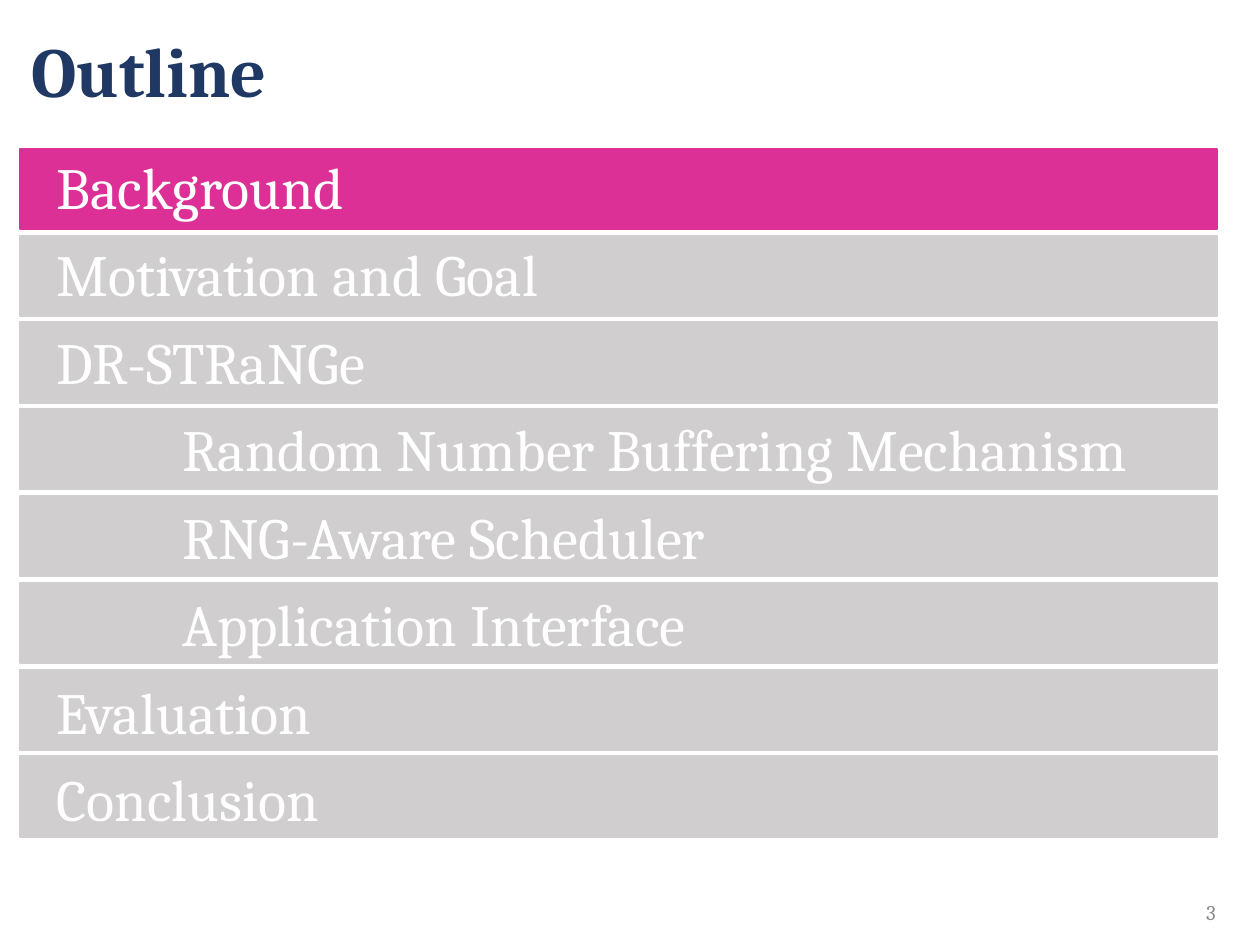
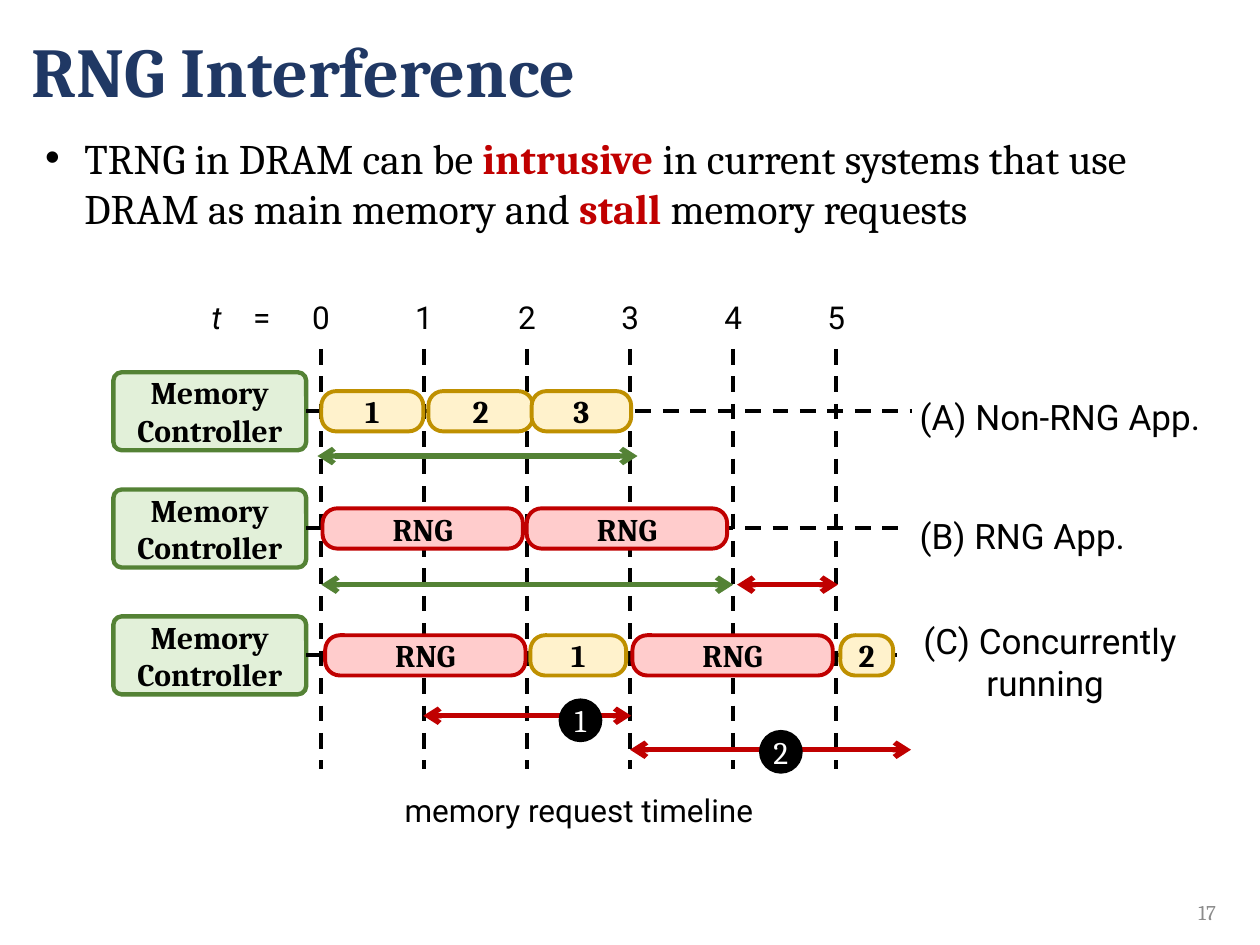
from dataclasses import dataclass

from lxml import etree
from pptx import Presentation
from pptx.dml.color import RGBColor
from pptx.enum.dml import MSO_LINE
from pptx.enum.shapes import MSO_CONNECTOR, MSO_SHAPE
from pptx.enum.text import MSO_ANCHOR, PP_ALIGN
from pptx.oxml.ns import qn
from pptx.util import Pt

LEFT, CENTER, RIGHT = PP_ALIGN.LEFT, PP_ALIGN.CENTER, PP_ALIGN.RIGHT
TOP, MIDDLE = MSO_ANCHOR.TOP, MSO_ANCHOR.MIDDLE
RECTANGLE, ROUNDED, OVAL = MSO_SHAPE.RECTANGLE, MSO_SHAPE.ROUNDED_RECTANGLE, MSO_SHAPE.OVAL
STRAIGHT, DASH = MSO_CONNECTOR.STRAIGHT, MSO_LINE.DASH
TITLE_ONLY = 5
LEFT_SIDE, RIGHT_SIDE = 1, 3


@dataclass(frozen=True)
class Theme:
    serif: str = "Cambria"
    sans: str = "Roboto"
    navy: str = "203864"
    gray: str = "8C8C8C"
    bar: str = "D0CECE"
    pink: str = "DC3096"
    black: str = "000000"
    white: str = "FFFFFF"
    red: str = "C00000"
    light_red: str = "FFCCCC"
    green: str = "548235"
    light_green: str = "E2F0D9"
    gold: str = "BF9000"
    light_gold: str = "FFF2CC"
    title_size: float = 40
    outline_size: float = 33.3
    body_size: float = 24
    caption_size: float = 20
    label_size: float = 18
    number_size: float = 12


@dataclass(frozen=True)
class Box:
    left: float
    top: float
    width: float
    height: float

    def inner(self, left, top, width, height):
        return Box(self.left + left, self.top + top, width, height)

    def lengths(self):
        return Pt(self.left), Pt(self.top), Pt(self.width), Pt(self.height)


THEME = Theme()
SLIDE = Box(0, 0, 720, 540)
TITLE = Box(10.8, 0, 700.6, 85.7)
NUMBER = Box(661, 513.4, 33.8, 15.8)
OUTLINE = Box(11.5, 85, 684, 393.2)
STATEMENT = Box(18.7, 72, 676, 65.5)
TIMELINE = Box(64.8, 167, 648, 311)

TOPICS = [
    ("Background", 0), ("Motivation and Goal", 0), ("DR-STRaNGe", 0),
    ("Random Number Buffering Mechanism", 1), ("RNG-Aware Scheduler", 1),
    ("Application Interface", 1), ("Evaluation", 0), ("Conclusion", 0),
]
REQUEST_COLORS = {
    "app": (THEME.light_gold, THEME.gold),
    "rng": (THEME.light_red, THEME.red),
}
TRACKS = [
    (68, 456.5, [("1", "app", 118.8, 58.3), ("2", "app", 180, 59.8), ("3", "app", 239, 56.9)]),
    (135, 448.5, [("RNG", "rng", 119.5, 114.5), ("RNG", "rng", 236.2, 114.5)]),
    (207.5, 447.8, [("RNG", "rng", 121, 114.5), ("1", "app", 238.3, 54.7),
                    ("RNG", "rng", 296.6, 114.5), ("2", "app", 415.4, 30.2)]),
]
SPANS = [
    (116.6, 299.5, 93.6, THEME.green), (118.8, 354.2, 167.1, THEME.green),
    (356.4, 414, 167.1, THEME.red), (177.1, 295.9, 242, THEME.red),
    (295.2, 455.8, 261.4, THEME.red),
]
MARKERS = [("1", 254.9, 232.6), ("2", 369.4, 250.6)]
APP_CAPTIONS = [
    (["(A) Non-RNG App."], 453.6, 43.2, 1.5),
    (["(B) RNG App."], 453.6, 111.6, 1.5),
    (["(C) Concurrently", "running"], 455.8, 183.6, 1),
]


def rgb(color):
    return RGBColor.from_string(color)


def format_run(run, size, color, font=THEME.serif, bold=False, italic=False):
    run.font.name = font
    run.font.size = Pt(size)
    run.font.bold = bold
    run.font.italic = italic
    run.font.color.rgb = rgb(color)


def write_lines(shape, lines, size, color, align=LEFT, anchor=TOP, **font):
    frame = shape.text_frame
    frame.word_wrap = True
    frame.vertical_anchor = anchor
    frame.text = "\n".join(lines)
    for paragraph in frame.paragraphs:
        paragraph.alignment = align
        for run in paragraph.runs:
            format_run(run, size, color, **font)
    return frame


def write_runs(paragraph, parts, size, **font):
    for text, color, bold, italic in parts:
        run = paragraph.add_run()
        run.text = text
        format_run(run, size, color, bold=bold, italic=italic, **font)


def set_indent(paragraph, left, first=0):
    properties = paragraph._p.get_or_add_pPr()
    properties.set("marL", str(Pt(left)))
    properties.set("indent", str(Pt(first)))
    return properties


def add_text(slide, box, lines, size, color, **options):
    shape = slide.shapes.add_textbox(*box.lengths())
    return write_lines(shape, lines, size, color, **options)


def add_block(slide, kind, box, fill, outline, weight, corner=None):
    shape = slide.shapes.add_shape(kind, *box.lengths())
    shape.shadow.inherit = False
    shape.fill.solid()
    shape.fill.fore_color.rgb = rgb(fill)
    shape.line.color.rgb = rgb(outline)
    shape.line.width = Pt(weight)
    if corner is not None:
        shape.adjustments[0] = corner
    frame = shape.text_frame
    frame.margin_left = frame.margin_right = frame.margin_top = frame.margin_bottom = 0
    return shape


def add_line(slide, box, start, end, color, weight, dashed=False, arrows=False):
    points = [Pt(value) for x, y in (start, end) for value in (box.left + x, box.top + y)]
    line = slide.shapes.add_connector(STRAIGHT, *points)
    line.line.color.rgb = rgb(color)
    line.line.width = Pt(weight)
    if dashed:
        line.line.dash_style = DASH
    if arrows:
        for end_name in ("a:headEnd", "a:tailEnd"):
            etree.SubElement(line.line._get_or_add_ln(), qn(end_name), type="arrow")
    etree.SubElement(line._element.spPr, qn("a:effectLst"))
    return line


def add_titled_slide(presentation, title, number):
    slide = presentation.slides.add_slide(presentation.slide_layouts[TITLE_ONLY])
    shape = slide.shapes.title
    shape.left, shape.top, shape.width, shape.height = TITLE.lengths()
    frame = write_lines(shape, [title], THEME.title_size, THEME.navy, anchor=MIDDLE, bold=True)
    frame.paragraphs[0].line_spacing = 0.9
    frame = add_text(slide, NUMBER, [number], THEME.number_size, THEME.gray,
                     align=RIGHT, anchor=MIDDLE)
    frame.margin_left = frame.margin_right = frame.margin_top = frame.margin_bottom = 0
    return slide


def add_outline(slide, box, current):
    bar_height = 46
    pitch = (box.height - bar_height) / (len(TOPICS) - 1)
    for index in range(len(TOPICS)):
        color = THEME.pink if index == current else THEME.bar
        bar = box.inner(0, index * pitch, box.width, bar_height)
        add_block(slide, RECTANGLE, bar, color, color, 1)
    frame = add_text(slide, box.inner(13.7, -2.2, 670, 403), [text for text, level in TOPICS],
                     THEME.outline_size, THEME.white)
    for index, paragraph in enumerate(frame.paragraphs):
        set_indent(paragraph, 72 * TOPICS[index][1])
        paragraph.space_before = Pt(10 if index else 0)


def add_statement(slide, box):
    frame = add_text(slide, box, [""], THEME.body_size, THEME.black)
    paragraph = frame.paragraphs[0]
    properties = set_indent(paragraph, 22.5, -22.5)
    etree.SubElement(properties, qn("a:buFont"), typeface="Arial")
    etree.SubElement(properties, qn("a:buChar"), char="•")
    write_runs(paragraph, [
        ("TRNG in DRAM can be ", THEME.black, False, False),
        ("intrusive", THEME.red, True, False),
        (" in current systems that use DRAM as main memory and ", THEME.black, False, False),
        ("stall ", THEME.red, True, False),
        ("memory requests", THEME.black, False, False),
    ], THEME.body_size)


def add_time_axis(slide, box):
    frame = add_text(slide, box.inner(49, 0, 65.5, 28.8), [""], THEME.label_size, THEME.black)
    paragraph = frame.paragraphs[0]
    tabs = etree.SubElement(paragraph._p.get_or_add_pPr(), qn("a:tabLst"))
    etree.SubElement(tabs, qn("a:tab"), pos=str(Pt(23.8)), algn="l")
    write_runs(paragraph, [("t\t", THEME.black, False, True), ("=", THEME.black, False, False)],
               THEME.label_size, font=THEME.sans)
    for tick in range(6):
        x = 118.6 + 58.9 * tick
        add_line(slide, box, (x, 32.4), (x, 272.2), THEME.black, 2.25, dashed=True)
        add_text(slide, box.inner(x - 17, 0, 34, 28.8), [str(tick)], THEME.label_size,
                 THEME.black, align=CENTER, font=THEME.sans)


def add_track(slide, box, middle, end, requests):
    controller = add_block(slide, ROUNDED, box.inner(0, middle - 22.3, 110.2, 44.6),
                           THEME.light_green, THEME.green, 2.5, 0.107)
    write_lines(controller, ["Memory Controller"], THEME.label_size, THEME.black,
                align=CENTER, anchor=MIDDLE, bold=True)
    line = add_line(slide, box, (110.2, middle), (end, middle), THEME.black, 2.25, dashed=True)
    line.begin_connect(controller, RIGHT_SIDE)
    for label, kind, left, width in requests:
        request = add_block(slide, ROUNDED, box.inner(left, middle - 11.5, width, 23),
                            *REQUEST_COLORS[kind], 2.25, 0.366)
        write_lines(request, [label], THEME.label_size, THEME.black,
                    align=CENTER, anchor=MIDDLE, bold=True)


def add_timeline(slide, box):
    add_time_axis(slide, box)
    for middle, end, requests in TRACKS:
        add_track(slide, box, middle, end, requests)
    for start, end, y, color in SPANS:
        add_line(slide, box, (start, y), (end, y), color, 3, arrows=True)
    for label, left, top in MARKERS:
        marker = add_block(slide, OVAL, box.inner(left, top, 24, 24),
                           THEME.black, THEME.black, 1)
        write_lines(marker, [label], THEME.label_size, THEME.white, align=CENTER, anchor=MIDDLE)
    for lines, left, top, spacing in APP_CAPTIONS:
        frame = add_text(slide, box.inner(left, top, 192, 40 * len(lines)), lines,
                         THEME.caption_size, THEME.black, font=THEME.sans)
        for index, paragraph in enumerate(frame.paragraphs):
            paragraph.line_spacing = spacing
            set_indent(paragraph, 36 * index)
    add_text(slide, box.inner(118.8, 281.6, 294.5, 28.8), ["memory request timeline"],
             THEME.label_size, THEME.black, align=CENTER, font=THEME.sans)


def main():
    presentation = Presentation()
    presentation.slide_width, presentation.slide_height = Pt(SLIDE.width), Pt(SLIDE.height)
    add_outline(add_titled_slide(presentation, "Outline", "3"), OUTLINE, current=0)
    interference = add_titled_slide(presentation, "RNG Interference", "17")
    add_statement(interference, STATEMENT)
    add_timeline(interference, TIMELINE)
    presentation.save("out.pptx")


if __name__ == "__main__":
    main()
